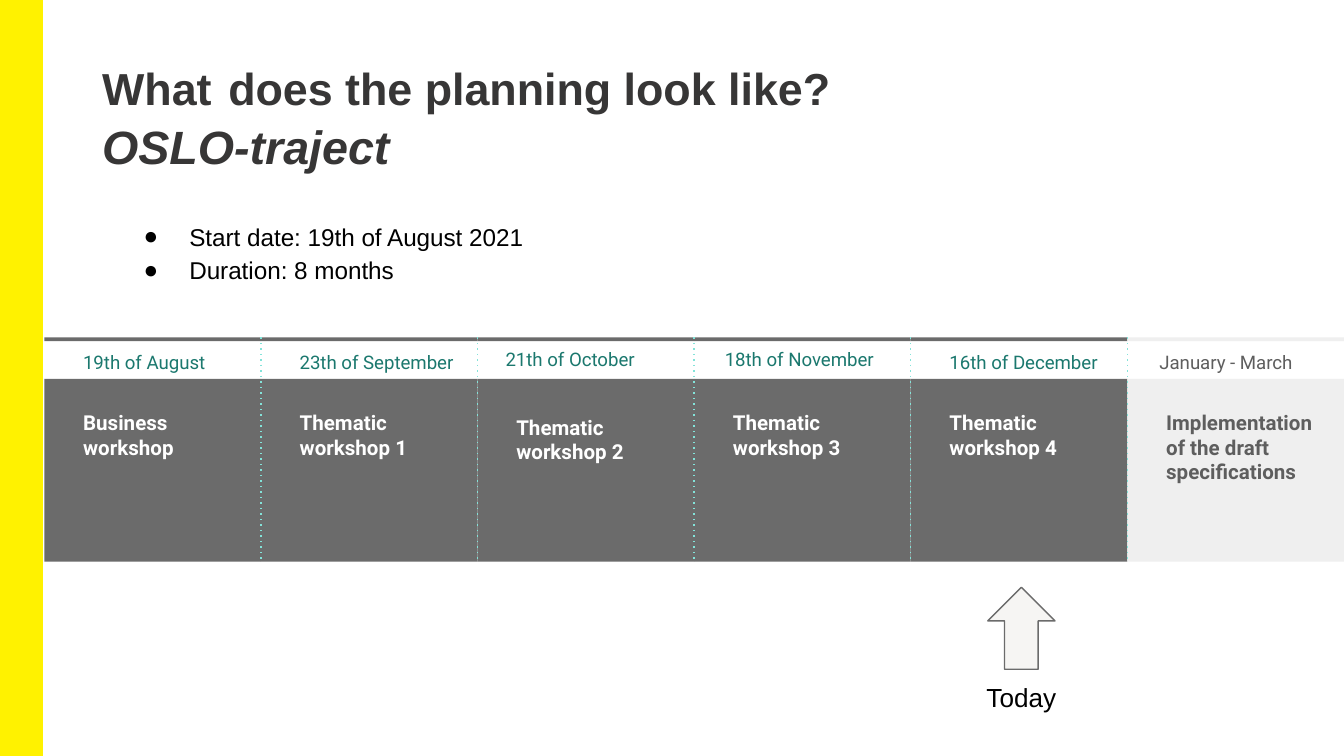
from dataclasses import dataclass

from lxml import etree
from pptx import Presentation
from pptx import util as u
from pptx.dml.color import RGBColor
from pptx.enum import shapes, text
from pptx.oxml import ns


@dataclass(frozen=True)
class Theme:
    """Colours, fonts and type sizes of the slide."""
    yellow: str = "FFF200"
    dark: str = "6B6B6B"
    light: str = "EFEFEF"
    pale: str = "F6F5F3"
    mint: str = "83E3D9"
    green: str = "1B786E"
    grey: str = "5E5E5E"
    ink: str = "373636"
    black: str = "000000"
    white: str = "FFFFFF"
    sans: str = "Arial"
    robo: str = "Roboto"
    head: int = 24
    sub: int = 25
    gap: int = 32
    body: int = 13
    date: int = 10
    phase: int = 11
    now: int = 14


def rgb(code):
    """Turn a hex code into a colour."""
    return RGBColor.from_string(code)


def write(frame, lines, size, color, face, bold=None, align=None, space=None,
          after=None, bullet=None, inset=(0.1, 0.1), anchor=text.MSO_ANCHOR.TOP):
    """Fill a frame with lines, each a list of (words, format changes)."""
    frame.word_wrap = True
    frame.auto_size = text.MSO_AUTO_SIZE.NONE
    frame.vertical_anchor = anchor
    frame.margin_left = frame.margin_right = u.Inches(inset[0])
    frame.margin_top = frame.margin_bottom = u.Inches(inset[1])
    for i, line in enumerate(lines):
        para = frame.add_paragraph() if i else frame.paragraphs[0]
        if bullet:
            props = para._p.get_or_add_pPr()
            props.set("marL", str(u.Inches(0.5)))
            props.set("indent", str(u.Inches(-0.34)))
            etree.SubElement(props, ns.qn("a:buFont")).set("typeface", face)
            etree.SubElement(props, ns.qn("a:buChar")).set("char", bullet)
        para.alignment = align
        para.line_spacing = space
        if after:
            para.space_after = u.Pt(after)
        for words, change in line:
            run = para.add_run()
            run.text = words
            look = {"size": size, "color": color, "italic": None, **change}
            run.font.name = face
            run.font.size = u.Pt(look["size"])
            run.font.color.rgb = rgb(look["color"])
            run.font.bold = bold
            run.font.italic = look["italic"]


class Board:
    """Holds the theme and the current slide."""

    def __init__(self, deck, theme):
        """Add a title-only slide."""
        self.theme = theme
        self.slide = deck.slides.add_slide(deck.slide_layouts[5])

    def title(self, box, lines, **style):
        """Place and write the title."""
        shape = self.slide.shapes.title
        shape.left, shape.top, shape.width, shape.height = map(u.Inches, box)
        write(shape.text_frame, lines, **style)

    def label(self, box, *lines, **style):
        """Add a text box with plain lines."""
        shape = self.slide.shapes.add_textbox(*map(u.Inches, box))
        write(shape.text_frame, [[(line, {})] for line in lines], **style)

    def block(self, box, fill, edge=None, width=1, kind=shapes.MSO_SHAPE.RECTANGLE):
        """Add a filled preset shape."""
        shape = self.slide.shapes.add_shape(kind, *map(u.Inches, box))
        shape.shadow.inherit = False
        shape.fill.solid()
        shape.fill.fore_color.rgb = rgb(fill)
        if edge:
            shape.line.color.rgb = rgb(edge)
            shape.line.width = u.Pt(width)
        else:
            shape.line.fill.background()

    def rule(self, x, top, base, color):
        """Add a dotted upright line."""
        line = self.slide.shapes.add_connector(
            shapes.MSO_CONNECTOR.STRAIGHT, *map(u.Inches, (x, top, x, base)))
        line.line.color.rgb = rgb(color)
        line.line.width = u.Pt(0.75)
        props = line._element.spPr
        dash = etree.SubElement(props.find(ns.qn("a:ln")), ns.qn("a:prstDash"))
        dash.set("val", "dot")
        etree.SubElement(props, ns.qn("a:effectLst"))


def main():
    """Build the planning slide."""
    deck = Presentation()
    wide = 10
    tall = wide * 9 / 16
    deck.slide_width, deck.slide_height = u.Inches(wide), u.Inches(tall)
    t = Theme()
    board = Board(deck, t)

    board.block((0, 0, 0.31, tall), t.yellow, t.yellow)
    board.title(
        (0.69, 0.3, 8.62, 0.81),
        [[("What", {}), (" ", {"size": t.gap, "color": t.black}),
          ("does the planning look like?", {})],
         [("OSLO-traject", {"size": t.sub, "italic": True})]],
        size=t.head, color=t.ink, face=t.sans, bold=True,
        align=text.PP_ALIGN.LEFT, inset=(0.07, 0.04))
    board.label((0.81, 1.52, 8.18, 0.71), "Start date: 19th of August 2021",
                "Duration: 8 months", size=t.body, color=t.black, face=t.sans,
                space=1.15, bullet="●")

    top, body, base, left = 2.51, 2.82, 4.18, 0.33
    high, mid = text.MSO_ANCHOR.TOP, text.MSO_ANCHOR.MIDDLE
    phases = [
        ("19th of August", 0.19, 2.51, "Business workshop", 2.95, high),
        ("23th of September", 0.19, 2.51, "Thematic workshop 1", 2.95, high),
        ("21th of October", 0.11, 2.6, "Thematic workshop 2", 3.07, mid),
        ("18th of November", 0.13, 2.49, "Thematic workshop 3", 2.95, high),
        ("16th of December", 0.19, 2.51, "Thematic workshop 4", 2.95, high),
        ("January - March", 0.14, 2.51, "Implementation of the draft specifications",
         2.95, high),
    ]
    step = (wide - left) / len(phases)
    for i, (date, shift, y, name, drop, anchor) in enumerate(phases):
        x = left + i * step
        last = i == len(phases) - 1
        fill = t.light if last else t.dark
        board.block((x, body, step, base - body), fill)
        board.block((x, top, step, 0.03), fill)
        if i:
            board.rule(x, top, base, t.mint)
        plain = y != top
        board.label((x + shift, y, 1.43, 0.3 if y < top else 0.15), date,
                    size=t.date, color=t.grey if last else t.green, face=t.robo,
                    space=None if plain else 1.15, after=None if plain else 16,
                    anchor=anchor)
        board.label((x + 0.19, drop, 1.39 if last else 1.24, 0.4), name,
                    size=t.phase, color=t.grey if last else t.white, face=t.robo,
                    bold=True, anchor=anchor)

    board.block((7.35, 4.37, 0.5, 0.61), t.pale, t.dark, 0.75,
                shapes.MSO_SHAPE.UP_ARROW)
    board.label((7.16, 4.97, 0.88, 0.44), "Today", size=t.now, color=t.black,
                face=t.sans, align=text.PP_ALIGN.CENTER)
    deck.save("out.pptx")


if __name__ == "__main__":
    main()
